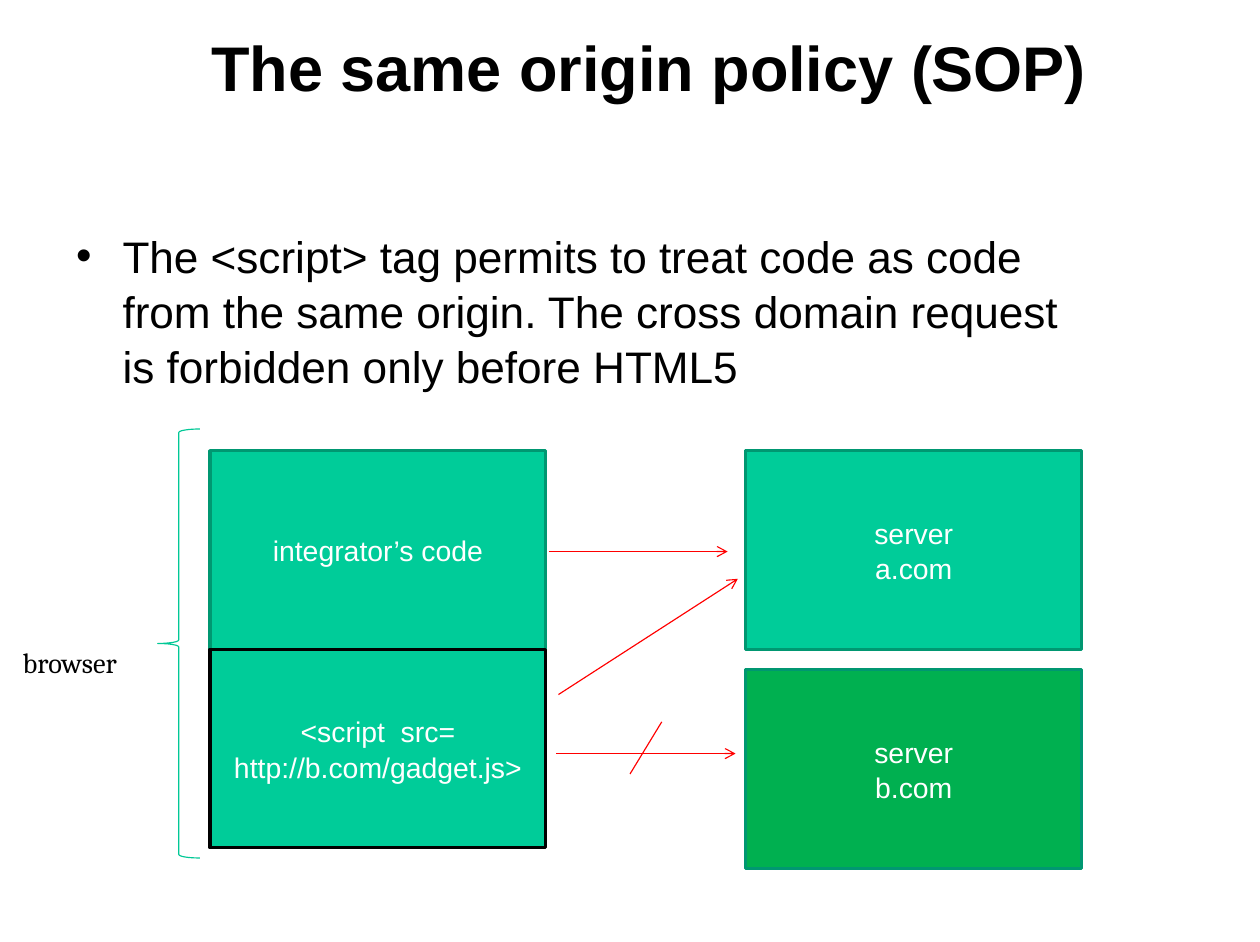
import pptx
import pptx.util
import pptx.dml.color
import pptx.enum.shapes
import pptx.enum.text
import pptx.oxml

PX = 9144  # EMU per px, 100 px to the inch
ALIGN = pptx.enum.text.PP_ALIGN
ANCHOR = pptx.enum.text.MSO_ANCHOR
SHAPE = pptx.enum.shapes.MSO_SHAPE
LINE = pptx.enum.shapes.MSO_CONNECTOR.STRAIGHT
GREEN, TEAL, RED = "00CC99", "009771", "FF0000"


def color(hex):
    return pptx.dml.color.RGBColor.from_string(hex)


def emu(*vals):
    return [v * PX for v in vals]


def apply(obj, form):
    for name, val in form.items():
        setattr(obj, name, val)


def write(shape, lines, size, ink="000000", face="Arial", bold=False,
          align=ALIGN.LEFT, anchor=ANCHOR.TOP, space=1.04):
    """Fill a shape with one paragraph per line and return the paragraphs."""
    frame = shape.text_frame
    frame.text = "\n".join(lines)
    apply(frame, dict(word_wrap=True, vertical_anchor=anchor,
                      auto_size=pptx.enum.text.MSO_AUTO_SIZE.NONE,
                      margin_left=11 * PX, margin_right=11 * PX,
                      margin_top=6 * PX, margin_bottom=6 * PX))
    for para in frame.paragraphs:
        apply(para, dict(alignment=align, line_spacing=space))
        for run in para.runs:
            apply(run.font, dict(size=pptx.util.Pt(size), name=face, bold=bold))
            run.font.color.rgb = color(ink)
    return frame.paragraphs


def place(shape, box):
    apply(shape, dict(zip(("left", "top", "width", "height"), emu(*box))))


def title(slide, box, text):
    head = slide.shapes.title
    place(head, box)
    write(head, [text], 40, bold=True, anchor=ANCHOR.MIDDLE, space=1.0)


def body(slide, box, items):
    hold = slide.placeholders[1]
    place(hold, box)
    for para in write(hold, items, 28):
        para.space_before = pptx.util.Pt(5.6)
        props = para._p.get_or_add_pPr()
        props.set("marL", str(41 * PX))
        props.set("indent", str(-41 * PX))


def stroke(line, ink, width):
    line.color.rgb = color(ink)
    line.width = pptx.util.Pt(width)


def block(slide, box, lines, fill=GREEN, edge=TEAL):
    rect = slide.shapes.add_shape(SHAPE.RECTANGLE, *emu(*box))
    rect.shadow.inherit = False
    rect.fill.solid()
    rect.fill.fore_color.rgb = color(fill)
    stroke(rect.line, edge, 2)
    write(rect, lines, 18, "FFFFFF", align=ALIGN.CENTER, anchor=ANCHOR.MIDDLE)


def link(slide, start, end, arrow=True):
    wire = slide.shapes.add_connector(LINE, *emu(*start, *end))
    stroke(wire.line, RED, 0.75)
    if arrow:
        tail = pptx.oxml.parse_xml(
            '<a:tailEnd xmlns:a="http://schemas.openxmlformats.org/'
            'drawingml/2006/main" type="arrow"/>')
        wire.line._get_or_add_ln().append(tail)
    props = wire._element.spPr
    props.append(props.makeelement(pptx.oxml.ns.qn("a:effectLst"), {}))


def browser(slide, box):
    """Draw the label, the brace and the two stacked code blocks."""
    x, y, w, h = box
    text = slide.shapes.add_textbox(*emu(x, y + 184, 139, 41))
    write(text, ["browser"], 18, face="Cambria", space=1.0)
    brace = slide.shapes.add_shape(SHAPE.LEFT_BRACE, *emu(x + 130, y, 37, h))
    brace.shadow.inherit = False
    brace.fill.background()
    stroke(brace.line, "00C896", 0.75)
    left, top, wide, tall = x + 176, y + 19, w - 176, 175
    block(slide, (left, top, wide, tall), ["integrator’s code"])
    block(slide, (left, top + tall, wide, tall),
          ["<script  src=", "http://b.com/gadget.js>"], edge="000000")


def servers(slide, box):
    x, y, w, h = box
    tall = 175
    block(slide, (x, y, w, tall), ["server", "a.com"])
    block(slide, (x, y + h - tall, w, tall), ["server", "b.com"], "00B050")


def calls(slide, box):
    """Draw the two allowed requests and the one that is struck out."""
    x, y, w, h = box
    link(slide, (x, y), (x + 157, y))
    link(slide, (x + 8, y + 126), (x + w, y + 24))
    link(slide, (x + 6, y + 178), (x + 164, y + 178))
    link(slide, (x + 99, y + 150), (x + 71, y + h), arrow=False)


def main():
    deck = pptx.Presentation()
    deck.slide_width, deck.slide_height = emu(1110, 830)
    slide = deck.slides.add_slide(deck.slide_layouts[1])
    title(slide, (175, 8, 917, 100), "The same origin policy (SOP)")
    body(slide, (56, 194, 906, 590),
         ["The <script> tag permits to treat code as code from the same "
          "origin. The cross domain request is forbidden only before HTML5"])
    browser(slide, (9, 378, 472, 378))
    servers(slide, (657, 397, 296, 368))
    calls(slide, (484, 486, 166, 196))
    deck.save("out.pptx")


if __name__ == "__main__":
    main()
